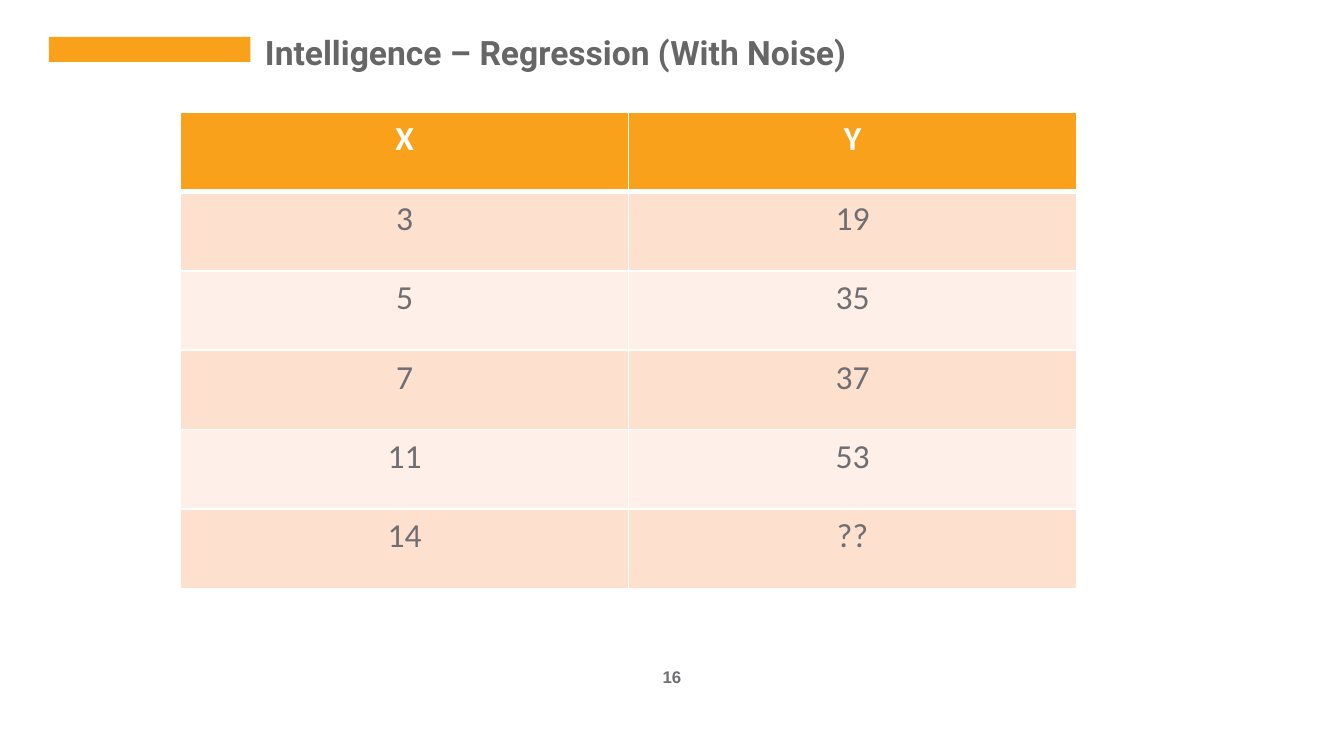
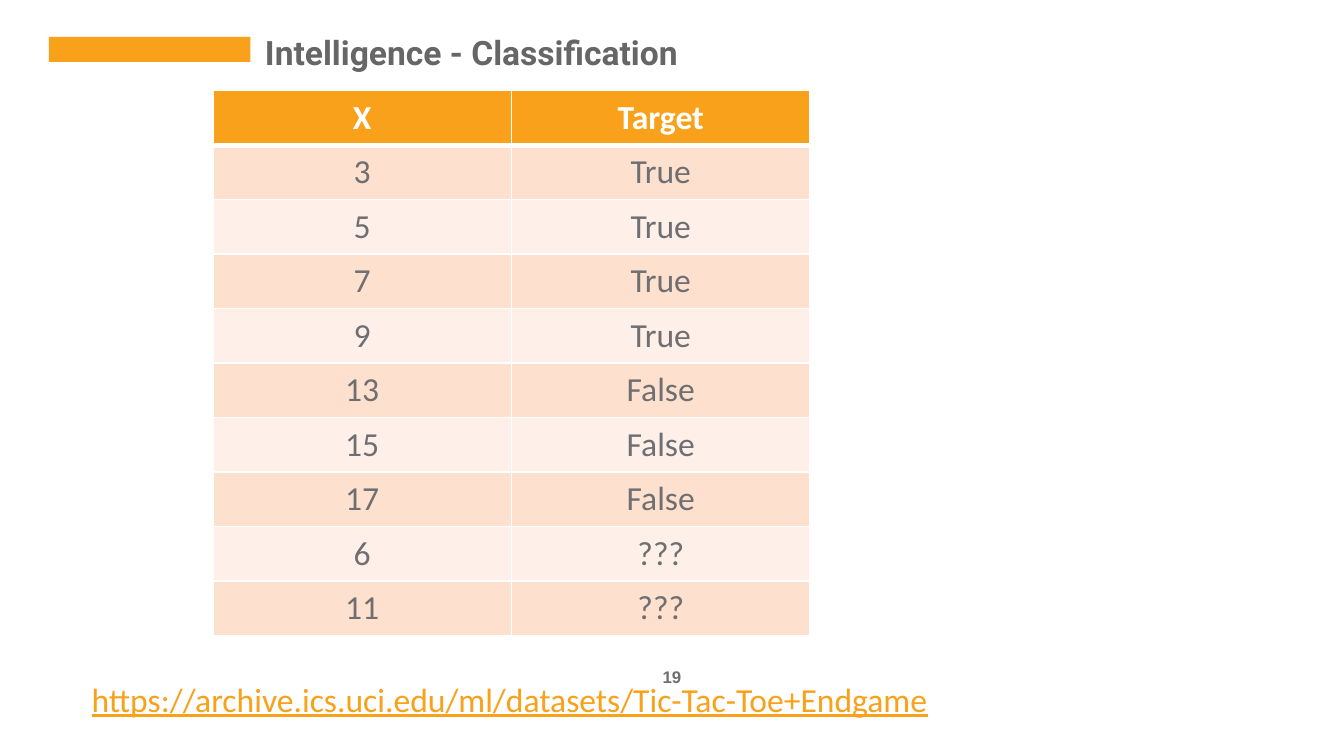
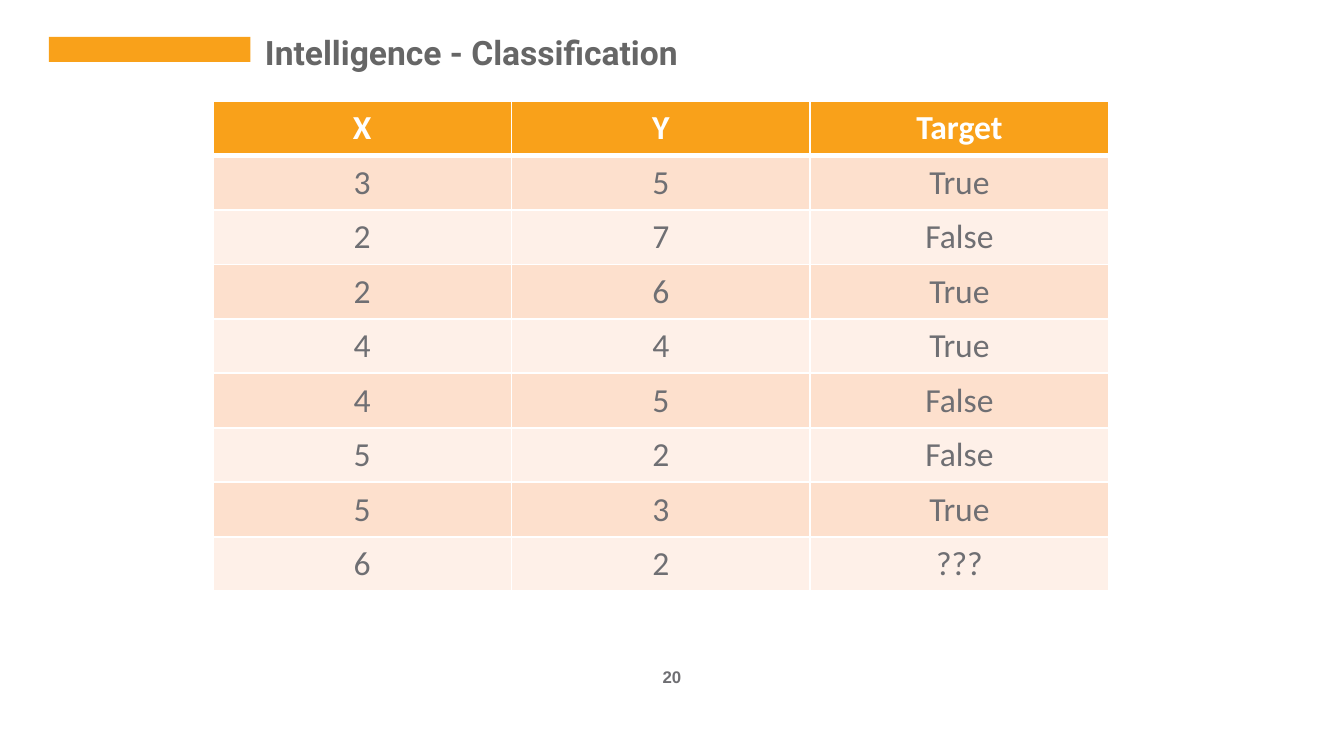
from lxml.etree import SubElement
from pptx import Presentation
from pptx.dml.color import RGBColor
from pptx.enum.shapes import MSO_SHAPE
from pptx.enum.text import MSO_ANCHOR, MSO_AUTO_SIZE, PP_ALIGN
from pptx.oxml.ns import qn
from pptx.util import Pt

COLORS = {
    "accent": "F9A11A",
    "title": "666666",
    "body": "6F6F73",
    "white": "FFFFFF",
    "band_dark": "FDE0CD",
    "band_light": "FEF0E8",
}


def color(name):
    return RGBColor.from_string(COLORS[name])


def add_span(para, text, font, size, color_name, bold=False, underline=False):
    span = para.add_run()
    span.text = text
    span.font.name = font
    span.font.size = Pt(size)
    span.font.bold = bold
    span.font.underline = underline
    span.font.color.rgb = color(color_name)


def add_bar(page):
    bar = page.shapes.add_shape(MSO_SHAPE.RECTANGLE, Pt(26.25), Pt(19.75), Pt(108), Pt(13.5))
    bar.shadow.inherit = False
    bar.fill.solid()
    bar.fill.fore_color.rgb = color("accent")
    bar.line.fill.background()


def set_title(page, text):
    title = page.shapes.title
    title.left, title.top, title.width, title.height = Pt(134.75), Pt(15.5), Pt(546.5), Pt(24.5)
    frame = title.text_frame
    frame.auto_size = MSO_AUTO_SIZE.NONE
    frame.vertical_anchor = MSO_ANCHOR.MIDDLE
    frame.margin_left = frame.margin_right = Pt(7.2)
    frame.margin_top = frame.margin_bottom = Pt(7.2)
    para = frame.paragraphs[0]
    para.alignment = PP_ALIGN.LEFT
    add_span(para, text, "Roboto", 18, "title", bold=True)


def add_page_number(page, number):
    box = page.shapes.add_textbox(Pt(306), Pt(353.5), Pt(108), Pt(18))
    box.text_frame.word_wrap = True
    para = box.text_frame.paragraphs[0]
    para.alignment = PP_ALIGN.CENTER
    add_span(para, str(number), "Arial", 9, "body", bold=True)


def add_web_address(page, address):
    box = page.shapes.add_textbox(Pt(42), Pt(360), Pt(468), Pt(29))
    box.text_frame.word_wrap = False
    add_span(box.text_frame.paragraphs[0], address, "Calibri", 18, "accent", underline=True)


def set_borders(cell, top, bottom):
    """Draw white cell borders; top and bottom are widths in points."""
    properties = cell._tc.get_or_add_tcPr()
    for side, width in (("L", 1), ("R", 1), ("T", top), ("B", bottom)):
        line = SubElement(properties, qn(f"a:ln{side}"), w=str(Pt(width)))
        fill = SubElement(line, qn("a:solidFill"))
        SubElement(fill, qn("a:srgbClr"), val=COLORS["white"])


def add_data_table(page, left, top, column_width, row_height, rows):
    row_count, column_count = len(rows), len(rows[0])
    table = page.shapes.add_table(
        row_count, column_count, Pt(left), Pt(top),
        Pt(column_width * column_count), Pt(row_height * row_count),
    ).table
    table.horz_banding = False
    for column in table.columns:
        column.width = Pt(column_width)
    for row_index, values in enumerate(rows):
        table.rows[row_index].height = Pt(row_height)
        header = row_index == 0
        band = "accent" if header else "band_dark" if row_index % 2 else "band_light"
        for column_index, value in enumerate(values):
            cell = table.cell(row_index, column_index)
            set_borders(cell, top=3 if row_index == 1 else 1, bottom=3 if header else 1)
            cell.fill.solid()
            cell.fill.fore_color.rgb = color(band)
            para = cell.text_frame.paragraphs[0]
            para.alignment = PP_ALIGN.CENTER
            add_span(para, value, "Calibri", 18, "white" if header else "body", bold=header)


def add_page(deck, title, number):
    page = deck.slides.add_slide(deck.slide_layouts.get_by_name("Title Only"))
    add_bar(page)
    add_page_number(page, number)
    set_title(page, title)
    return page


def main():
    deck = Presentation()
    deck.slide_width, deck.slide_height = Pt(720), Pt(405)

    regression = add_page(deck, "Intelligence – Regression (With Noise)", 16)
    add_data_table(regression, 96.75, 60, 240, 42.55, [
        ("X", "Y"),
        ("3", "19"),
        ("5", "35"),
        ("7", "37"),
        ("11", "53"),
        ("14", "??"),
    ])

    one_feature = add_page(deck, "Intelligence - Classification", 19)
    add_web_address(one_feature, "https://archive.ics.uci.edu/ml/datasets/Tic-Tac-Toe+Endgame")
    add_data_table(one_feature, 114, 48.5, 160, 29.2, [
        ("X", "Target"),
        ("3", "True"),
        ("5", "True"),
        ("7", "True"),
        ("9", "True"),
        ("13", "False"),
        ("15", "False"),
        ("17", "False"),
        ("6", "???"),
        ("11", "???"),
    ])

    two_features = add_page(deck, "Intelligence - Classification", 20)
    add_data_table(two_features, 114, 54, 160, 29.2, [
        ("X", "Y", "Target"),
        ("3", "5", "True"),
        ("2", "7", "False"),
        ("2", "6", "True"),
        ("4", "4", "True"),
        ("4", "5", "False"),
        ("5", "2", "False"),
        ("5", "3", "True"),
        ("6", "2", "???"),
    ])

    deck.save("out.pptx")


if __name__ == "__main__":
    main()
